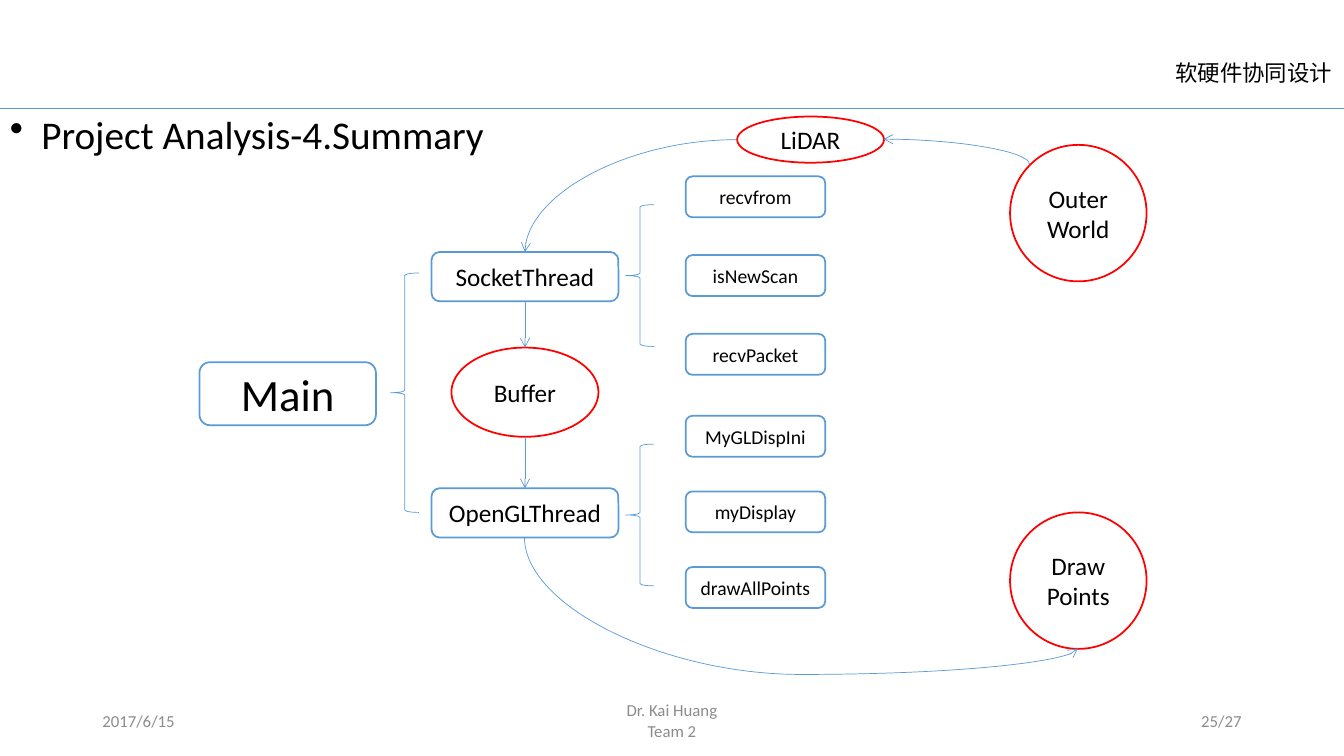
"""Build the project summary slide: threads, buffer and data flow."""
from dataclasses import dataclass

from lxml import etree
from pptx import Presentation
from pptx import util as u
from pptx.dml.color import RGBColor
from pptx.enum import shapes, text
from pptx.oxml.ns import qn

PX = 9525
KIND = shapes.MSO_SHAPE
LINK = shapes.MSO_CONNECTOR
ALIGN = text.PP_ALIGN
ANCHOR = text.MSO_ANCHOR


@dataclass(frozen=True)
class Theme:
    """Colours, font, type sizes and line widths."""
    ink: str = "000000"
    muted: str = "8C8C8C"
    blue: str = "5B9BD5"
    red: str = "FF0000"
    font: str = "Calibri"
    title: int = 28
    main: int = 32
    node: int = 18
    header: int = 16
    leaf: int = 14
    footer: int = 12
    thin: float = 0.5
    outline: float = 1.25


T = Theme()


def px(*values):
    """Turn pixel lengths into EMU."""
    return [u.Emu(v * PX) for v in values]


def write(tf, content, size, color=T.ink, align=ALIGN.LEFT, anchor=ANCHOR.TOP, wrap=True):
    """Fill a text frame, one paragraph per line of content."""
    tf.word_wrap = wrap
    tf.vertical_anchor = anchor
    for i, line in enumerate(content.split("\n")):
        p = tf.add_paragraph() if i else tf.paragraphs[0]
        p.alignment = align
        r = p.add_run()
        r.text = line
        r.font.name = T.font
        r.font.size = u.Pt(size)
        r.font.color.rgb = RGBColor.from_string(color)


def label(s, box, content, size, **style):
    """Add a text box."""
    tf = s.shapes.add_textbox(*px(*box)).text_frame
    write(tf, content, size, **style)
    return tf


def bullet(p, indent):
    """Give a paragraph a hanging round bullet."""
    pPr = p._p.get_or_add_pPr()
    pPr.set("marL", str(indent * PX))
    pPr.set("indent", str(-indent * PX))
    etree.SubElement(pPr, qn("a:buChar"), char="•")


def stroke(line, color, width):
    """Set the colour and width of a line."""
    line.color.rgb = RGBColor.from_string(color)
    line.width = u.Pt(width)


def outline(s, kind, box, color=T.blue, width=T.outline):
    """Add an unfilled preset shape."""
    sp = s.shapes.add_shape(kind, *px(*box))
    sp.shadow.inherit = False
    sp.fill.background()
    stroke(sp.line, color, width)
    return sp


def node(s, kind, box, content, size=T.node, color=T.blue):
    """Add an outlined shape with centred text."""
    sp = outline(s, kind, box, color)
    write(sp.text_frame, content, size, align=ALIGN.CENTER, anchor=ANCHOR.MIDDLE)
    return sp


def connect(s, start, end, kind=LINK.STRAIGHT, arrow=True):
    """Add a thin connector, with an arrowhead at its end if wanted."""
    c = s.shapes.add_connector(kind, *px(*start, *end))
    stroke(c.line, T.blue, T.thin)
    spPr = c._element.spPr
    if arrow:
        etree.SubElement(spPr.find(qn("a:ln")), qn("a:tailEnd"), type="arrow")
    etree.SubElement(spPr, qn("a:effectLst"))
    return c


def curve(s, start, end, preset="curvedConnector2", upright=False, adj=None):
    """Add a curved arrow; an upright one leaves its start vertically."""
    c = connect(s, start, end, LINK.CURVE)
    geom = c._element.spPr.find(qn("a:prstGeom"))
    geom.set("prst", preset)
    if adj is not None:
        guides = geom.find(qn("a:avLst"))
        if guides is None:
            guides = etree.SubElement(geom, qn("a:avLst"))
        etree.SubElement(guides, qn("a:gd"), name="adj1", fmla=f"val {adj}")
    if upright:
        (x1, y1), (x2, y2) = start, end
        w, h = abs(y2 - y1), abs(x2 - x1)
        c.left, c.top = px((x1 + x2 - w) // 2, (y1 + y2 - h) // 2)
        c.width, c.height = px(w, h)
        xfrm = c._element.spPr.find(qn("a:xfrm"))
        xfrm.attrib.pop("flipH", None)
        xfrm.set("flipV", "1")
        xfrm.set("rot", str((90 if y2 > y1 else 270) * 60000))
    return c


def frame(s):
    """Add the header, title and footer."""
    label(s, (1099, 52, 179, 36), "软硬件协同设计", T.header, align=ALIGN.RIGHT)
    connect(s, (0, 103), (1280, 103), arrow=False)
    tf = label(s, (0, 100, 476, 55), "Project Analysis-4.Summary", T.title, wrap=False)
    bullet(tf.paragraphs[0], 30)
    for x, w, content, align in (
        (88, 288, "2017/6/15", ALIGN.LEFT),
        (424, 432, "Dr. Kai Huang\nTeam 2", ALIGN.CENTER),
        (904, 288, "25/27", ALIGN.RIGHT),
    ):
        label(s, (x, 667, w, 38), content, T.footer, color=T.muted,
              align=align, anchor=ANCHOR.MIDDLE)


def call_tree(s):
    """Add the main program, its threads and their functions."""
    node(s, KIND.ROUNDED_RECTANGLE, (190, 345, 168, 60), "Main", T.main)
    for box in ((372, 260, 27, 228), (596, 195, 27, 135), (596, 423, 27, 135)):
        outline(s, KIND.LEFT_BRACE, box, width=T.thin)
    threads = []
    for name, y, top, step, functions in (
        ("SocketThread", 240, 168, 75, ("recvfrom", "isNewScan", "recvPacket")),
        ("OpenGLThread", 465, 396, 72, ("MyGLDispIni", "myDisplay", "drawAllPoints")),
    ):
        threads.append(node(s, KIND.ROUNDED_RECTANGLE, (411, y, 178, 47), name))
        for i, function in enumerate(functions):
            node(s, KIND.ROUNDED_RECTANGLE, (653, top + i * step, 133, 39), function, T.leaf)
    return threads


def data_flow(s, socket, opengl):
    """Add the data ellipses and the arrows between them and the threads."""
    for box, name in (
        ((962, 138, 130, 130), "Outer\nWorld"),
        ((962, 488, 130, 130), "Draw\nPoints"),
        ((702, 111, 140, 44), "LiDAR"),
    ):
        node(s, KIND.OVAL, box, name, color=T.red)
    buffer = node(s, KIND.OVAL, (430, 331, 140, 85), "Buffer", color=T.red)
    c = connect(s, (500, 287), (500, 331))
    c.begin_connect(socket, 2)
    c.end_connect(buffer, 0)
    connect(s, (500, 416), (500, 465)).end_connect(opengl, 0)
    curve(s, (981, 157), (842, 133), upright=True)
    curve(s, (702, 133), (500, 240))
    curve(s, (500, 512), (1027, 618), "curvedConnector3", upright=True, adj=123400)


def main():
    """Build and save the slide."""
    prs = Presentation()
    prs.slide_width, prs.slide_height = px(1280, 720)
    s = prs.slides.add_slide(prs.slide_layouts[6])
    frame(s)
    socket, opengl = call_tree(s)
    data_flow(s, socket, opengl)
    prs.save("out.pptx")


if __name__ == "__main__":
    main()
